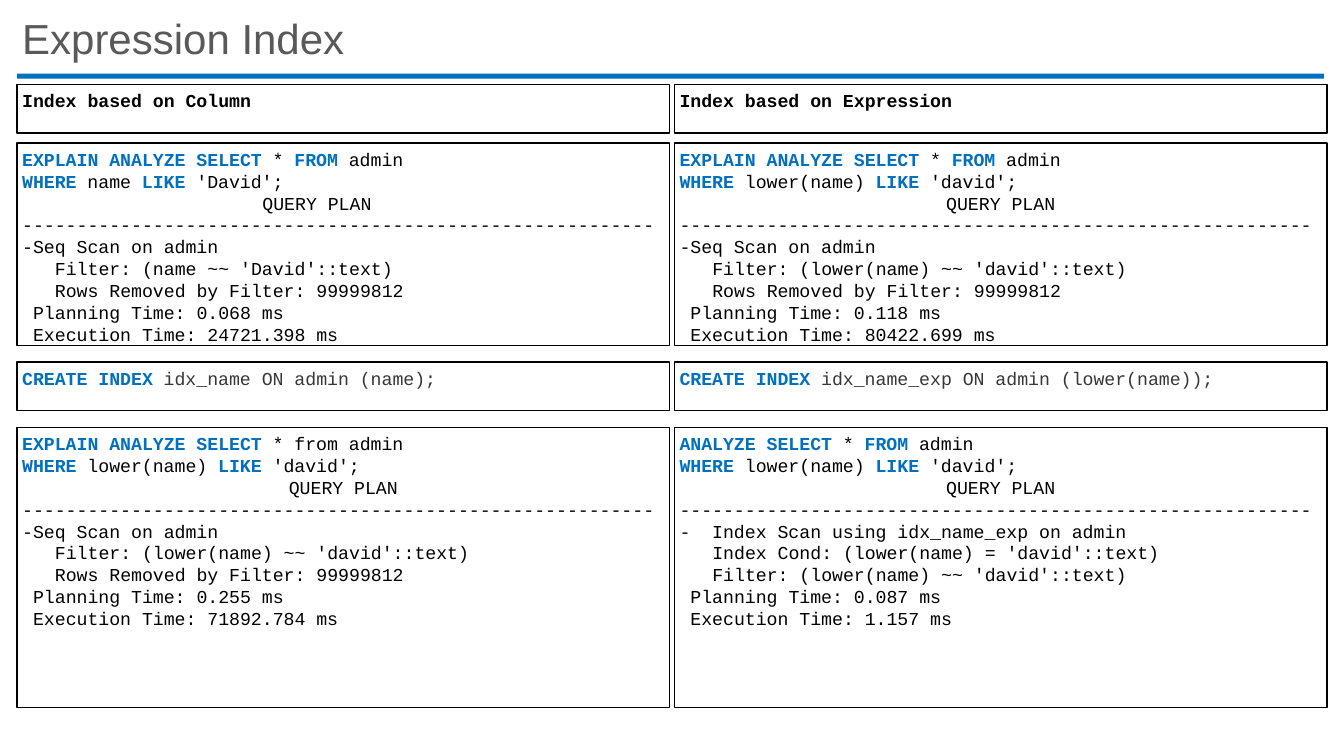
"""Build the slide comparing a column index with an expression index."""
from dataclasses import dataclass

from pptx import Presentation
from pptx import util as u
from pptx.dml.color import RGBColor
from pptx.enum import shapes, text


@dataclass(frozen=True)
class Theme:
    """Colours, fonts and type sizes of the slide."""
    accent: RGBColor = RGBColor.from_string("0070C0")
    heading: RGBColor = RGBColor.from_string("595959")
    ink: RGBColor = RGBColor.from_string("000000")
    soft_ink: RGBColor = RGBColor.from_string("373737")
    heading_font: str = "Arial"
    code_font: str = "Courier New"
    heading_size: int = 30
    code_size: int = 13
    character: float = 7.8


@dataclass(frozen=True)
class Grid:
    """Columns and rows, in inches."""
    left: float = 0.17
    column: float = 6.47
    gutter: float = 0.05
    span: float = 12.96
    inset: float = 0.05

    def x(self, column: int) -> float:
        """Return the left edge of a column."""
        return self.left + column * (self.column + self.gutter)


@dataclass(frozen=True)
class Row:
    """Top and height of a grid row, in inches."""
    top: float
    height: float


@dataclass(frozen=True)
class Line:
    """A line of code; pipes enclose keywords, indent counts characters."""
    code: str
    indent: int = 0
    centred: bool = False
    space_before: int = 0


@dataclass(frozen=True)
class Panel:
    """A framed block of code in one grid cell."""
    column: int
    row: Row
    lines: list[Line]
    ink: RGBColor
    keyword: RGBColor


THEME = Theme()
GRID = Grid()
TITLE = Row(0.15, 0.52)
RULE = Row(0.73, 0.05)
CAPTION = Row(0.84, 0.48)
BEFORE = Row(1.42, 2.01)
CREATE = Row(3.59, 0.48)
AFTER = Row(4.24, 2.78)


def plan(query: list[str], scan: str, details: list[str], planning: str,
         execution: str, heading: Line = Line("QUERY PLAN", centred=True)) -> list[Line]:
    """Return the lines of a query followed by its plan."""
    return [
        *(Line(clause) for clause in query),
        heading,
        Line("-" * 59 + scan),
        *(Line(detail, indent=3) for detail in details),
        Line(f"Planning Time: {planning} ms", indent=1),
        Line(f"Execution Time: {execution} ms", indent=1),
    ]


def caption(column: int, label: str) -> Panel:
    """Return the bold heading panel of a column."""
    return Panel(column, CAPTION, [Line(f"|{label}|", space_before=10)], THEME.ink, THEME.ink)


def create(column: int, target: str) -> Panel:
    """Return the panel that creates an index."""
    statement = Line(f"|CREATE INDEX |{target};", space_before=10)
    return Panel(column, CREATE, [statement], THEME.soft_ink, THEME.accent)


def explain(column: int, row: Row, lines: list[Line]) -> Panel:
    """Return the panel of an explained query."""
    return Panel(column, row, lines, THEME.ink, THEME.accent)


SELECT = "|EXPLAIN ANALYZE SELECT| * |FROM| admin"
WHERE_LOWER = "|WHERE| lower(name) |LIKE| 'david';"
SEQ_SCAN = "Seq Scan on admin"
FILTER_LOWER = "Filter: (lower(name) ~~ 'david'::text)"
REMOVED = "Rows Removed by Filter: 99999812"

PANELS = [
    caption(0, "Index based on Column"),
    caption(1, "Index based on Expression"),
    explain(0, BEFORE, plan([SELECT, "|WHERE| name |LIKE| 'David';"], SEQ_SCAN,
                            ["Filter: (name ~~ 'David'::text)", REMOVED],
                            "0.068", "24721.398", Line("QUERY PLAN", indent=22))),
    explain(1, BEFORE, plan([SELECT, WHERE_LOWER], SEQ_SCAN,
                            [FILTER_LOWER, REMOVED], "0.118", "80422.699")),
    create(0, "idx_name ON admin (name)"),
    create(1, "idx_name_exp ON admin (lower(name))"),
    explain(0, AFTER, plan(["|EXPLAIN ANALYZE SELECT| * from admin", WHERE_LOWER], SEQ_SCAN,
                           [FILTER_LOWER, REMOVED], "0.255", "71892.784")),
    explain(1, AFTER, plan(["|ANALYZE SELECT| * |FROM| admin", WHERE_LOWER],
                           "  Index Scan using idx_name_exp on admin",
                           ["Index Cond: (lower(name) = 'david'::text)", FILTER_LOWER],
                           "0.087", "1.157")),
]


def set_frame(frame, anchor) -> None:
    """Give a text frame its insets, wrapping and anchor."""
    frame.margin_left = frame.margin_right = u.Inches(GRID.inset)
    frame.margin_top = frame.margin_bottom = u.Inches(GRID.inset)
    frame.word_wrap = True
    frame.auto_size = text.MSO_AUTO_SIZE.NONE
    frame.vertical_anchor = anchor


def add_box(slide, column: int, row: Row, width: float):
    """Add a shadowless rectangle in a grid cell."""
    box = slide.shapes.add_shape(shapes.MSO_SHAPE.RECTANGLE, u.Inches(GRID.x(column)),
                                 u.Inches(row.top), u.Inches(width), u.Inches(row.height))
    box.shadow.inherit = False
    return box


def write_line(paragraph, line: Line, panel: Panel) -> None:
    """Write one line of code with its keywords emphasised."""
    paragraph.alignment = text.PP_ALIGN.CENTER if line.centred else text.PP_ALIGN.LEFT
    paragraph.space_before = u.Pt(line.space_before)
    paragraph.font.name = THEME.code_font
    paragraph.font.size = u.Pt(THEME.code_size)
    if line.indent:
        properties = paragraph._p.get_or_add_pPr()
        properties.set("marL", str(u.Pt(line.indent * THEME.character)))
        properties.set("indent", "0")
    for position, part in enumerate(line.code.split("|")):
        if part:
            run = paragraph.add_run()
            run.text = part
            is_keyword = position % 2 == 1
            run.font.bold = is_keyword
            run.font.color.rgb = panel.keyword if is_keyword else panel.ink


def draw_panel(slide, panel: Panel) -> None:
    """Draw a framed panel and its code."""
    box = add_box(slide, panel.column, panel.row, GRID.column)
    box.fill.background()
    box.line.color.rgb = THEME.ink
    box.line.width = u.Pt(1)
    frame = box.text_frame
    set_frame(frame, text.MSO_ANCHOR.TOP)
    for position, line in enumerate(panel.lines):
        write_line(frame.add_paragraph() if position else frame.paragraphs[0], line, panel)


def draw_title(slide) -> None:
    """Fill the title placeholder and draw the rule below it."""
    title = slide.shapes.title
    title.left, title.top = u.Inches(GRID.left), u.Inches(TITLE.top)
    title.width, title.height = u.Inches(GRID.span), u.Inches(TITLE.height)
    title.text_frame.text = "Expression Index"
    set_frame(title.text_frame, text.MSO_ANCHOR.MIDDLE)
    paragraph = title.text_frame.paragraphs[0]
    paragraph.alignment = text.PP_ALIGN.LEFT
    paragraph.line_spacing = 0.9
    paragraph.font.name = THEME.heading_font
    paragraph.font.size = u.Pt(THEME.heading_size)
    paragraph.font.color.rgb = THEME.heading
    rule = add_box(slide, 0, RULE, GRID.span)
    rule.fill.solid()
    rule.fill.fore_color.rgb = THEME.accent
    rule.line.fill.background()


def main() -> None:
    """Build and save the presentation."""
    deck = Presentation()
    deck.slide_width, deck.slide_height = u.Inches(13.33), u.Inches(7.5)
    slide = deck.slides.add_slide(deck.slide_layouts[5])
    draw_title(slide)
    for panel in PANELS:
        draw_panel(slide, panel)
    deck.save("out.pptx")


if __name__ == "__main__":
    main()
